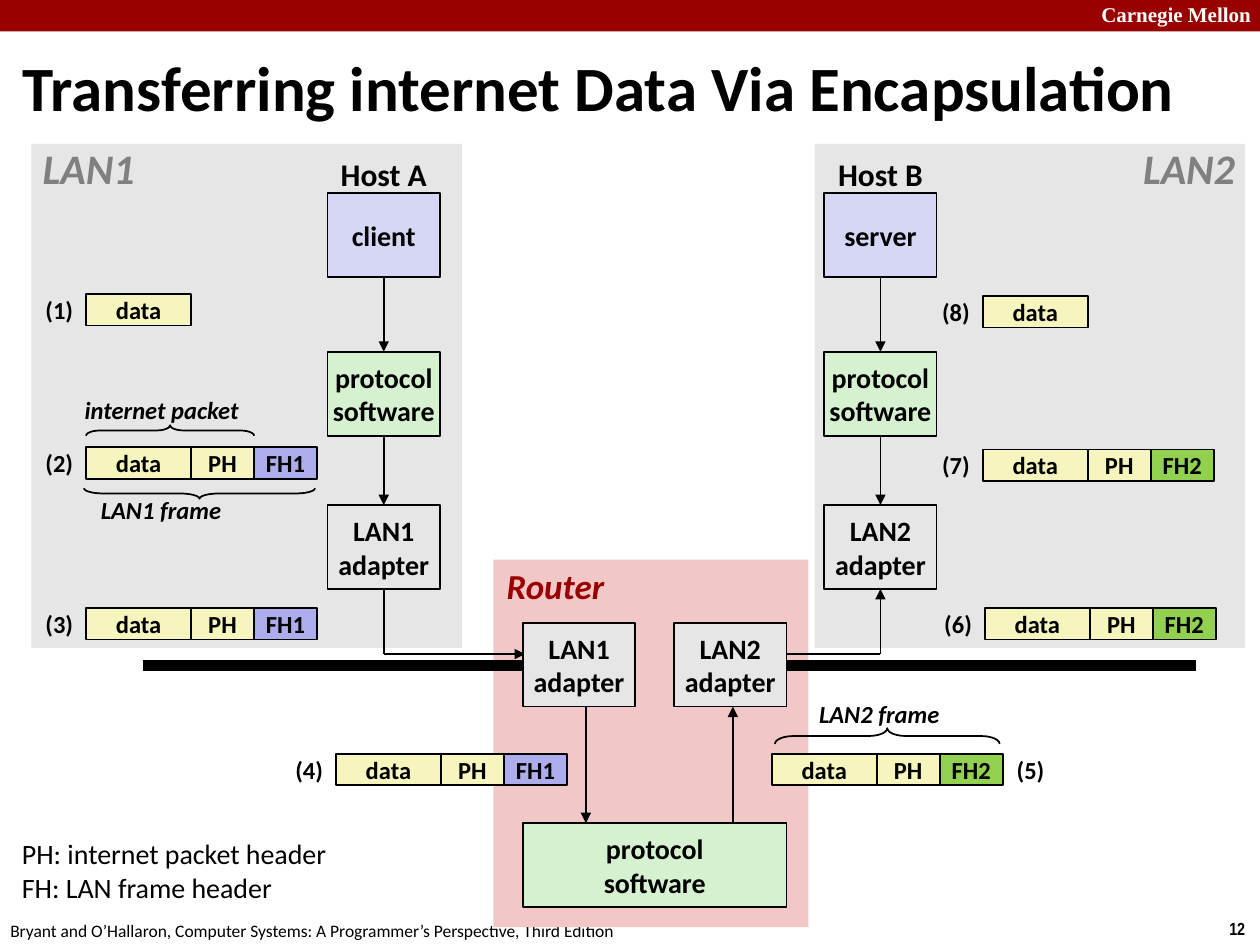
from lxml.etree import SubElement
from pptx import Presentation
from pptx.dml.color import RGBColor
from pptx.enum.shapes import MSO_CONNECTOR, MSO_SHAPE
from pptx.enum.text import MSO_ANCHOR as ANCHOR, PP_ALIGN as ALIGN
from pptx.oxml.ns import qn
from pptx.util import Inches, Pt

COLORS = {
    "red": "990000", "black": "000000", "white": "FFFFFF",
    "zone": "E6E6E6", "router": "F1C7C7", "zone_text": "808080",
    "app": "D6D6F5", "protocol": "D5F1CF", "adapter": "E6E6E6",
    "data": "F6F5BD", "FH1": "ADADEB", "FH2": "92D050",
}
COLUMNS = 120
BOX_W, BOX_H = 10.7, 8
BOTTOM, TOP = 2, 0
PROTOCOL = ["protocol", "software"]


def color(name):
    return RGBColor.from_string(COLORS[name])


class Diagram:
    """Draws on one slide; lengths are cells of a 120 by 90 grid."""

    font = "Calibri"

    def __init__(self, prs):
        self.cell = prs.slide_width / COLUMNS
        self.slide = prs.slides.add_slide(prs.slide_layouts[6])
        self.shapes = self.slide.shapes

    def grid(self, *values):
        return [round(v * self.cell) for v in values]

    def set_text(self, sp, lines, size, bold=True, italic=False, ink="black",
                 align=ALIGN.CENTER, anchor=ANCHOR.MIDDLE, font=None):
        tf = sp.text_frame
        tf.word_wrap = False
        tf.vertical_anchor = anchor
        for i, line in enumerate(lines):
            p = tf.add_paragraph() if i else tf.paragraphs[0]
            p.text = line
            p.alignment = align
            p.font.name = font or self.font
            p.font.size = Pt(size)
            p.font.bold, p.font.italic = bold, italic
            p.font.color.rgb = color(ink)

    def text(self, x, y, w, h, lines, size, **style):
        sp = self.shapes.add_textbox(*self.grid(x, y, w, h))
        self.set_text(sp, lines, size, **style)

    def rect(self, x, y, w, h, fill, lines=(), size=16, outlined=True):
        sp = self.shapes.add_shape(MSO_SHAPE.RECTANGLE, *self.grid(x, y, w, h))
        sp.shadow.inherit = False
        sp.fill.solid()
        sp.fill.fore_color.rgb = color(fill)
        if outlined:
            sp.line.color.rgb = color("black")
            sp.line.width = Pt(1)
        else:
            sp.line.fill.background()
        self.set_text(sp, lines, size)
        return sp

    def line(self, x1, y1, x2, y2, width=1, arrow=False):
        c = self.shapes.add_connector(MSO_CONNECTOR.STRAIGHT, *self.grid(x1, y1, x2, y2))
        c.line.color.rgb = color("black")
        c.line.width = Pt(width)
        props = c.element.spPr
        if arrow:
            SubElement(props.find(qn("a:ln")), qn("a:tailEnd"), type="triangle")
        SubElement(props, qn("a:effectLst"))
        return c

    def join(self, upper, lower):
        """Arrow from the bottom of one box to the top of the next."""
        c = self.line(0, 0, 1, 1, arrow=True)
        c.begin_connect(upper, BOTTOM)
        c.end_connect(lower, TOP)

    def brace(self, cx, cy, length, depth, turn, curve):
        """Horizontal brace centred on cx, cy."""
        place = self.grid(cx - depth / 2, cy - length / 2, depth, length)
        sp = self.shapes.add_shape(MSO_SHAPE.LEFT_BRACE, *place)
        sp.shadow.inherit = False
        sp.rotation = turn
        sp.adjustments[0] = curve
        sp.fill.background()
        sp.line.color.rgb = color("black")
        sp.line.width = Pt(1)

    def packet(self, step, x, y, header=None, label_after=False):
        parts = [("data", 10, "data")]
        if header:
            parts += [("PH", 6, "data"), (header, 6, header)]
        self.shapes = self.slide.shapes.add_group_shape().shapes
        left = x
        for label, w, fill in parts:
            self.rect(left, y, w, 3, fill, [label], 14)
            left += w
        label_x = left if label_after else x - 5.2
        self.text(label_x, y - 0.5, 5.3, 4, [f"({step})"], 14)
        self.shapes = self.slide.shapes

    def host(self, x, name, app, lan):
        """Column of application, protocol software and adapter."""
        self.text(x, 14.2, BOX_W, 4.8, [name], 18)
        layers = [(18.4, "app", [app]), (33.5, "protocol", PROTOCOL),
                  (48.1, "adapter", [lan, "adapter"])]
        boxes = [self.rect(x, y, BOX_W, BOX_H, fill, lines) for y, fill, lines in layers]
        for upper, lower in zip(boxes, boxes[1:]):
            self.join(upper, lower)
        return boxes[-1]


def main():
    prs = Presentation()
    prs.slide_width, prs.slide_height = Inches(10), Inches(7.5)
    d = Diagram(prs)
    left, top = ALIGN.LEFT, ANCHOR.TOP

    # Page frame
    d.rect(0, 0, COLUMNS, 3, "red", outlined=False)
    d.text(103.7, -0.4, 17.2, 3.6, ["Carnegie Mellon"], 12, ink="white",
           align=left, anchor=top, font="Times New Roman")
    d.text(115.9, 86.8, 4.1, 3.2, ["12"], 10, align=left, anchor=top, font="Arial Narrow")
    d.text(-0.2, 87, 61, 3.2,
           ["Bryant and O’Hallaron, Computer Systems: A Programmer’s Perspective, Third Edition"],
           10, bold=False, align=left, anchor=top)
    d.text(1, 4.4, 116, 7.6, ["Transferring internet Data Via Encapsulation"], 36, align=left)

    # Networks and router
    for x, label_x, lan in [(3, 2.8, "LAN1"), (77.6, 107.6, "LAN2")]:
        d.rect(x, 13.7, 41, 48, "zone", outlined=False)
        d.text(label_x, 13, 11.3, 6, [lan], 24, italic=True, ink="zone_text")
    d.rect(47, 53.3, 30, 35, "router", outlined=False)
    d.text(47, 53.2, 11.8, 5.2, ["Router"], 20, italic=True, ink="red")

    # Hosts
    a_x, b_x = 31.2, 78.5
    adapter_a = d.host(a_x, "Host A", "client", "LAN1")
    adapter_b = d.host(b_x, "Host B", "server", "LAN2")

    # Cables between hosts and router
    port1, port2, port_y, router_y = 49.8, 64.2, 62.3, 59.3
    a_mid, b_mid = a_x + BOX_W / 2, b_x + BOX_W / 2
    port2_right = port2 + BOX_W
    for x in (13.6, port2_right):
        d.line(x, 63.4, x + 39, 63.4, width=6)
    d.line(a_mid, 56.1, a_mid, port_y).begin_connect(adapter_a, BOTTOM)
    d.line(a_mid, port_y, 50, port_y, arrow=True)
    d.line(port2_right, port_y, b_mid, port_y)
    d.line(b_mid, port_y, b_mid, 56.1, arrow=True).end_connect(adapter_b, BOTTOM)

    # Inside the router
    software_y = 78.4
    d.line(55.8, router_y + BOX_H, 55.8, software_y, arrow=True)
    d.line(69.8, software_y, 69.8, router_y + BOX_H, arrow=True)
    for x, lan in [(port1, "LAN1"), (port2, "LAN2")]:
        d.rect(x, router_y, BOX_W, BOX_H, "adapter", [lan, "adapter"])
    d.rect(port1, software_y, port2_right - port1, BOX_H, "protocol", PROTOCOL)

    # Data at each step
    d.packet(1, 8.2, 28)
    d.packet(2, 8.2, 42.6, "FH1")
    d.packet(3, 8.2, 57.9, "FH1")
    d.packet(4, 32, 71.8, "FH1")
    d.packet(5, 73.5, 71.8, "FH2", label_after=True)
    d.packet(6, 93.8, 57.9, "FH2")
    d.packet(7, 93.6, 42.8, "FH2")
    d.packet(8, 93.6, 28.2)

    for cx, cy, length, depth, turn, curve in [
        (16.2, 41, 16, 1, 90, 1.33),
        (19, 47, 22, 1, 270, 1.83),
        (84.5, 70.1, 21.4, 1.5, 90, 1.19),
    ]:
        d.brace(cx, cy, length, depth, turn, curve)
    for x, y, w, label in [
        (6.8, 37, 17.2, "internet packet"),
        (8.4, 46.5, 13.9, "LAN1 frame"),
        (76.8, 65.9, 13.9, "LAN2 frame"),
    ]:
        d.text(x, y, w, 4.1, [label], 14, italic=True)

    d.text(0.9, 79.1, 31.8, 7.7, ["PH: internet packet header", "FH: LAN frame header"],
           16, bold=False, align=left, anchor=top)

    prs.save("out.pptx")


if __name__ == "__main__":
    main()
